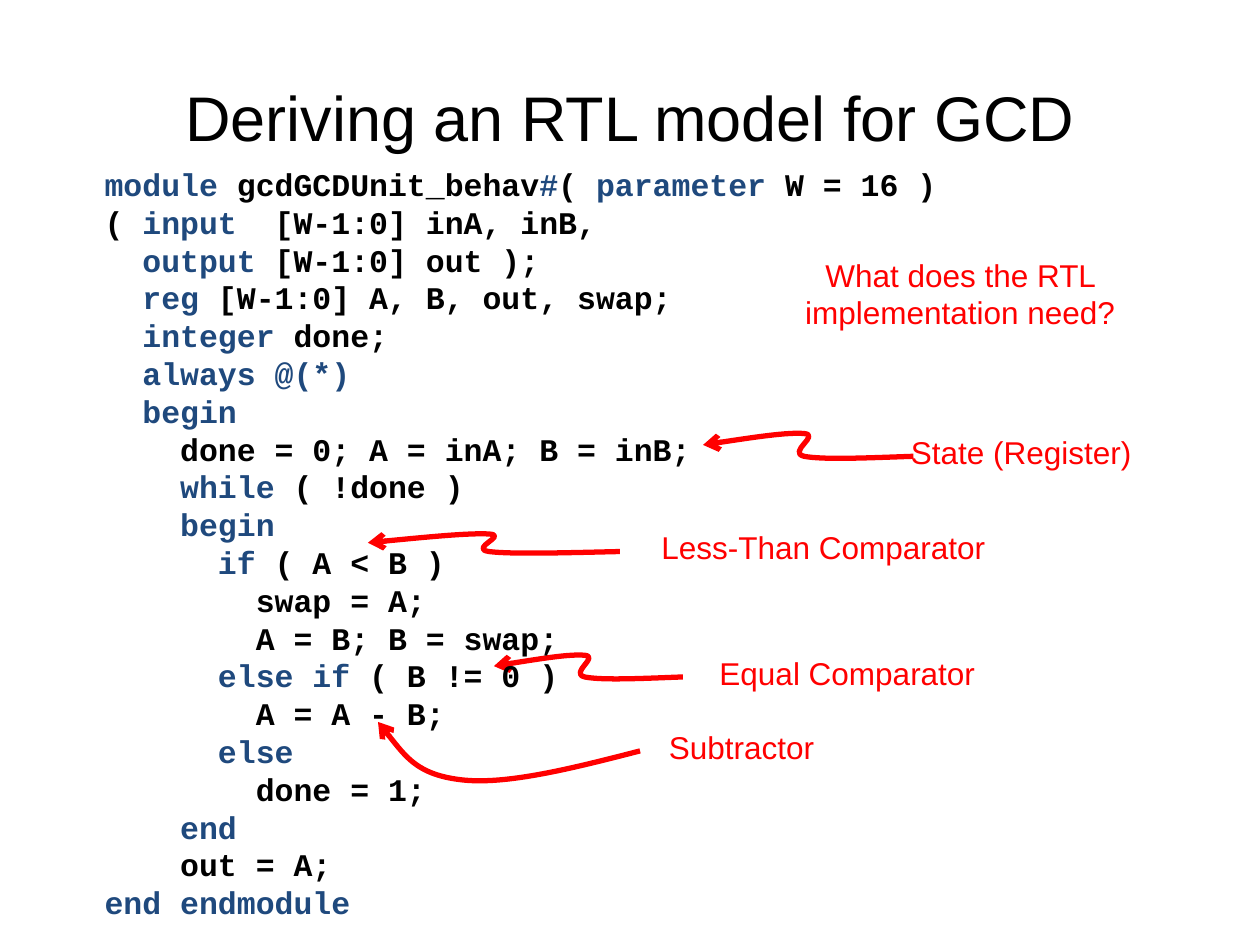
"""Build the slide that derives an RTL model for GCD from annotated Verilog."""
from typing import NamedTuple

from lxml.etree import SubElement
from pptx import Presentation
from pptx.dml.color import RGBColor
from pptx.enum.text import MSO_ANCHOR, PP_ALIGN
from pptx.oxml.ns import qn
from pptx.util import Inches, Pt

COLORS = {"text": "000000", "keyword": "1F497D", "note": "FF0000"}
KEYWORD_MARK = "|"
INDENT_PER_SPACE = 0.15

CODE = """\
|module| gcdGCDUnit_behav|#|( |parameter| W = 16 )
( |input|  [W-1:0] inA, inB,
  |output| [W-1:0] out );
  |reg| [W-1:0] A, B, out, swap;
  |integer| done;
  |always @(*)|
  |begin|
    done = 0; A = inA; B = inB;
    |while| ( !done )
    |begin|
      |if| ( A < B )
        swap = A;
        A = B; B = swap;
      |else if| ( B != 0 )
        A = A - B;
      |else|
        done = 1;
    |end|
    out = A;
|end endmodule|"""

WAVE = [(0, 0.46), (0.2, 0.23), (0.4, 0), (0.48, 0.05), (0.56, 0.1),
        (0.4, 0.72), (0.48, 0.87), (0.57, 1), (0.78, 0.93), (1, 0.87)]
HOOK = [(0, 0), (0.08, 0.42), (0.15, 0.84), (0.32, 0.92),
        (0.49, 1), (0.74, 0.74), (1, 0.46)]


class Box(NamedTuple):
    left: float
    top: float
    width: float
    height: float


class Note(NamedTuple):
    text: str
    box: Box
    wrap: bool = False
    curve: list[tuple[float, float]] | None = None
    curve_box: Box | None = None


NOTES = [
    Note("What does the RTL implementation need?", Box(5.58, 1.98, 4.08, 0.7), wrap=True),
    Note("State (Register)", Box(7.13, 3.39, 1.95, 0.4),
         curve=WAVE, curve_box=Box(5.58, 3.43, 1.67, 0.22)),
    Note("Less-Than Comparator", Box(5.15, 4.14, 2.77, 0.4),
         curve=WAVE, curve_box=Box(2.92, 4.23, 2, 0.17)),
    Note("Equal Comparator", Box(5.61, 5.14, 2.23, 0.4),
         curve=WAVE, curve_box=Box(3.92, 5.19, 1.5, 0.21)),
    Note("Subtractor", Box(5.21, 5.73, 1.35, 0.4),
         curve=HOOK, curve_box=Box(3, 5.73, 2.08, 0.5)),
]


def add_run(paragraph, text: str, *, size: float = 18, font: str = "Arial",
            color: str = "text", bold: bool = False) -> None:
    """Append text to a paragraph in the given format."""
    run = paragraph.add_run()
    run.text = text
    run.font.size = Pt(size)
    run.font.name = font
    run.font.bold = bold
    run.font.color.rgb = RGBColor.from_string(COLORS[color])


def place(shape, box: Box) -> None:
    """Move and size a shape."""
    shape.left, shape.top, shape.width, shape.height = map(Inches, box)


def add_title(slide, text: str) -> None:
    """Fill the title placeholder."""
    title = slide.shapes.title
    place(title, Box(0.5, 0.3, 9, 1.25))
    title.text_frame.vertical_anchor = MSO_ANCHOR.MIDDLE
    paragraph = title.text_frame.paragraphs[0]
    paragraph.alignment = PP_ALIGN.CENTER
    add_run(paragraph, text, size=36)


def add_curved_arrow(slide, points: list[tuple[float, float]], box: Box) -> None:
    """Draw Bezier segments, scaled to a box, with an arrowhead at their start."""
    start, *controls = [(Inches(box.left + x * box.width), Inches(box.top + y * box.height))
                        for x, y in points]
    builder = slide.shapes.build_freeform(*start)
    builder.add_line_segments(controls, close=False)
    shape = builder.convert_to_shape()
    shape.shadow.inherit = False
    shape.fill.background()
    shape.line.color.rgb = RGBColor.from_string(COLORS["note"])
    shape.line.width = Pt(3)
    SubElement(shape.line._get_or_add_ln(), qn("a:headEnd"), type="arrow")

    outline = next(shape.element.iter(qn("a:path")))
    segments = outline.findall(qn("a:lnTo"))
    for index in range(0, len(segments), 3):
        curve = SubElement(outline, qn("a:cubicBezTo"))
        for segment in segments[index:index + 3]:
            curve.append(segment[0])
            outline.remove(segment)


def add_note(slide, note: Note) -> None:
    """Add a centred note and its arrow, if it has one."""
    text_box = slide.shapes.add_textbox(*map(Inches, note.box))
    text_box.text_frame.word_wrap = note.wrap
    paragraph = text_box.text_frame.paragraphs[0]
    paragraph.alignment = PP_ALIGN.CENTER
    add_run(paragraph, note.text, color="note")
    if note.curve:
        add_curved_arrow(slide, note.curve, note.curve_box)


def add_code(slide, code: str, box: Box) -> None:
    """Add a listing whose marked keywords are coloured."""
    frame = slide.shapes.add_textbox(*map(Inches, box)).text_frame
    frame.word_wrap = True
    frame.margin_left = frame.margin_top = frame.margin_right = frame.margin_bottom = 0
    for number, line in enumerate(code.splitlines()):
        paragraph = frame.add_paragraph() if number else frame.paragraphs[0]
        paragraph.line_spacing = Pt(21.6)
        content = line.lstrip()
        indent = Inches(INDENT_PER_SPACE * (len(line) - len(content)))
        properties = paragraph._p.get_or_add_pPr()
        properties.set("marL", str(indent))
        properties.set("indent", "0")
        for position, text in enumerate(content.split(KEYWORD_MARK)):
            if text:
                add_run(paragraph, text, font="Courier New", bold=True,
                        color="keyword" if position % 2 else "text")


def main() -> None:
    """Build and save the presentation."""
    presentation = Presentation()
    presentation.slide_width, presentation.slide_height = Inches(10), Inches(7.5)
    slide = presentation.slides.add_slide(presentation.slide_layouts[5])
    add_title(slide, "Deriving an RTL model for GCD")
    for note in NOTES:
        add_note(slide, note)
    add_code(slide, CODE, Box(0.83, 1.31, 6.75, 6))
    presentation.save("out.pptx")


if __name__ == "__main__":
    main()
